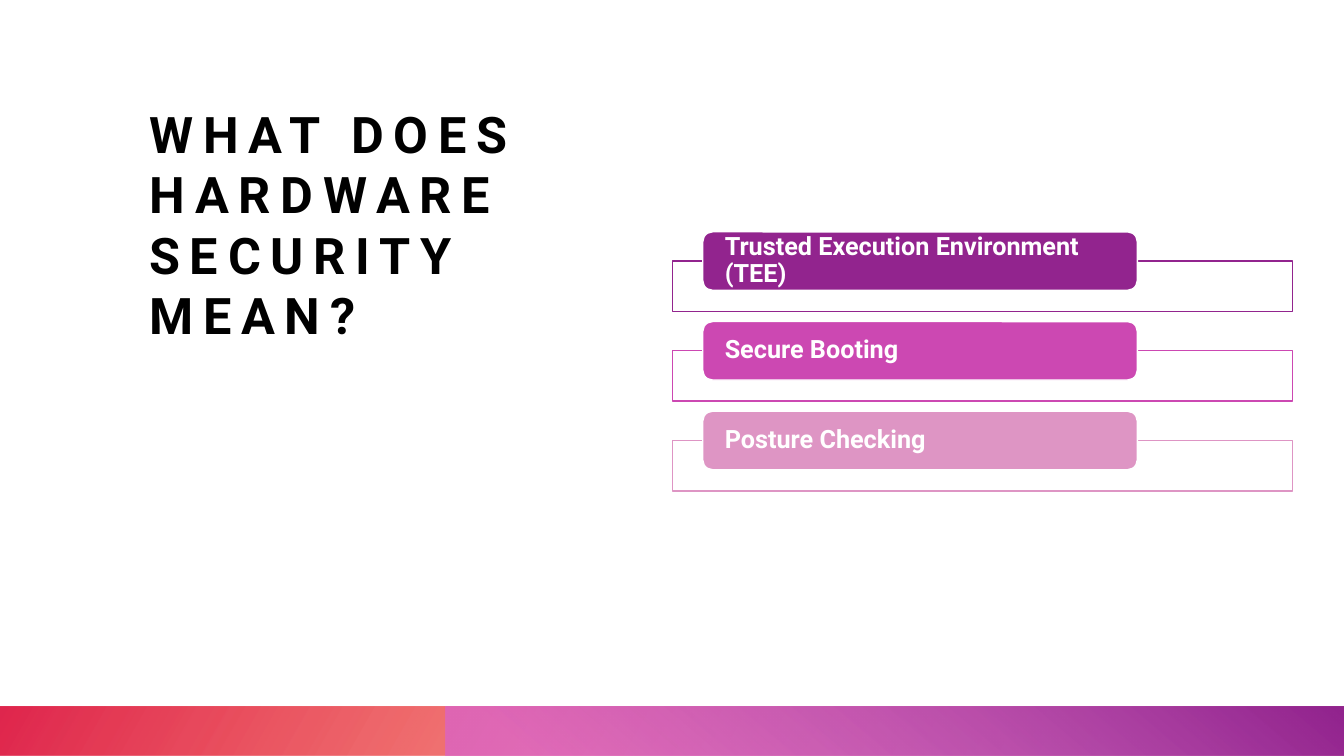
import pptx
import pptx.util
from lxml import etree
from pptx.dml.color import RGBColor
from pptx.enum.shapes import MSO_SHAPE
from pptx.enum.text import MSO_ANCHOR, MSO_AUTO_SIZE, PP_ALIGN
from pptx.oxml.ns import qn
from pptx.util import Inches

FONT = "Roboto"
COLORS = {
    "black": "000000",
    "white": "FFFFFF",
    "purple": "92248E",
    "magenta": "CC48B2",
    "pink": "DE95C4",
    "orange": "FE4A00",
    "red": "DA002F",
    "orchid": "D861D4",
}
TOPICS = [
    ("Trusted Execution Environment (TEE)", "purple"),
    ("Secure Booting", "magenta"),
    ("Posture Checking", "pink"),
]
FIRST_TOPIC_TOP = 2.3
TOPIC_PITCH = 0.89


def rgb(name):
    return RGBColor.from_string(COLORS[name])


def add_box(slide, preset, left, top, width, height):
    shape = slide.shapes.add_shape(
        preset, Inches(left), Inches(top), Inches(width), Inches(height))
    shape.shadow.inherit = False
    return shape


def fill_and_outline(shape, fill, outline):
    shape.fill.solid()
    shape.fill.fore_color.rgb = rgb(fill)
    shape.line.color.rgb = rgb(outline)
    shape.line.width = pptx.util.Pt(1)


def set_text(text_frame, text, size, color, anchor, side_inset=0):
    """Write one bold, left-aligned run and return it."""
    text_frame.word_wrap = True
    text_frame.auto_size = MSO_AUTO_SIZE.NONE
    text_frame.vertical_anchor = anchor
    text_frame.margin_left = text_frame.margin_right = Inches(side_inset)
    text_frame.margin_top = text_frame.margin_bottom = 0
    paragraph = text_frame.paragraphs[0]
    paragraph.alignment = PP_ALIGN.LEFT
    run = paragraph.add_run()
    run.text = text
    run.font.name = FONT
    run.font.size = pptx.util.Pt(size)
    run.font.bold = True
    run.font.color.rgb = rgb(color)
    return run


def add_title(slide, text):
    title = slide.shapes.title
    title.left, title.top = Inches(1.48), Inches(1.02)
    title.width, title.height = Inches(5.02), Inches(4.99)
    run = set_text(title.text_frame, text, 36, "black", MSO_ANCHOR.TOP)
    run.font._element.set("spc", "700")


def add_gradient_bar(slide, left, width, angle, stops):
    """Add a footer bar; each stop is (position, color, opacity in percent)."""
    bar = add_box(slide, MSO_SHAPE.RECTANGLE, left, 7.01, width, 0.49)
    bar.line.fill.background()
    bar.fill.gradient()
    bar.fill.gradient_angle = angle
    for stop, (position, color, opacity) in zip(bar.fill.gradient_stops, stops):
        stop.position = position
        stop.color.rgb = rgb(color)
    color_elements = bar._element.spPr.iter(qn("a:srgbClr"))
    for element, (position, color, opacity) in zip(color_elements, stops):
        etree.SubElement(element, qn("a:alpha")).set("val", str(opacity * 1000))


def add_topic(slide, top, text, color):
    frame = add_box(slide, MSO_SHAPE.RECTANGLE, 6.67, top + 0.29, 6.15, 0.5)
    fill_and_outline(frame, "white", color)
    label = add_box(slide, MSO_SHAPE.ROUNDED_RECTANGLE, 6.97, top, 4.31, 0.58)
    fill_and_outline(label, color, "white")
    set_text(label.text_frame, text, 18, "white", MSO_ANCHOR.MIDDLE, 0.19)
    label.text_frame.paragraphs[0].line_spacing = 0.9


def main():
    presentation = pptx.Presentation()
    presentation.slide_width = Inches(13.33)
    presentation.slide_height = Inches(7.5)
    slide = presentation.slides.add_slide(presentation.slide_layouts[5])
    slide.background.fill.solid()
    slide.background.fill.fore_color.rgb = rgb("white")

    add_title(slide, "WHAT DOES HARDWARE SECURITY MEAN?")
    add_gradient_bar(slide, 0, 13.33, 150,
                     [(0.14, "orange", 28), (1, "red", 85)])
    add_gradient_bar(slide, 4.42, 8.91, 50,
                     [(0.09, "orchid", 68), (0.99, "purple", 100)])
    for index, (text, color) in enumerate(TOPICS):
        add_topic(slide, FIRST_TOPIC_TOP + index * TOPIC_PITCH, text, color)

    presentation.save("out.pptx")


if __name__ == "__main__":
    main()
